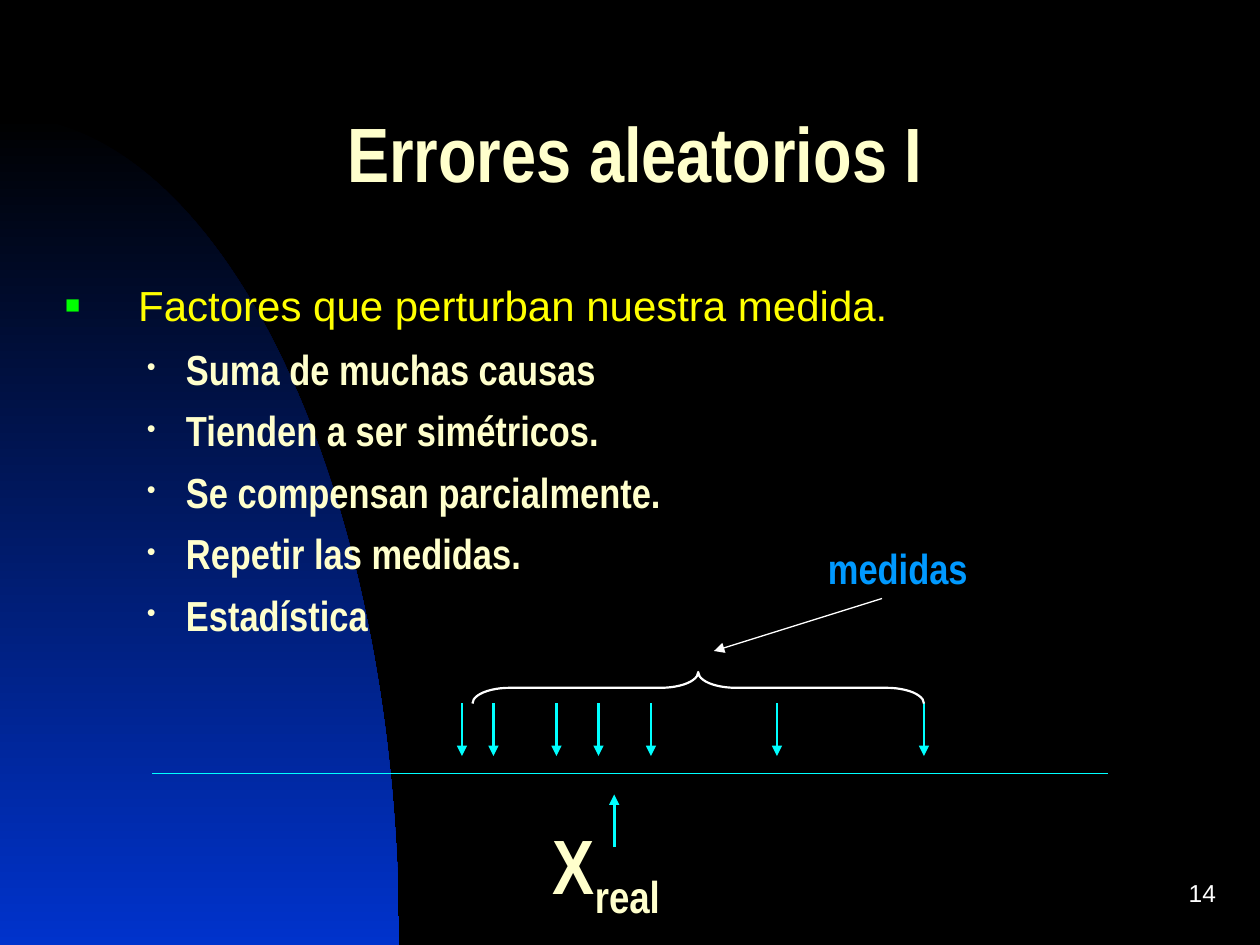
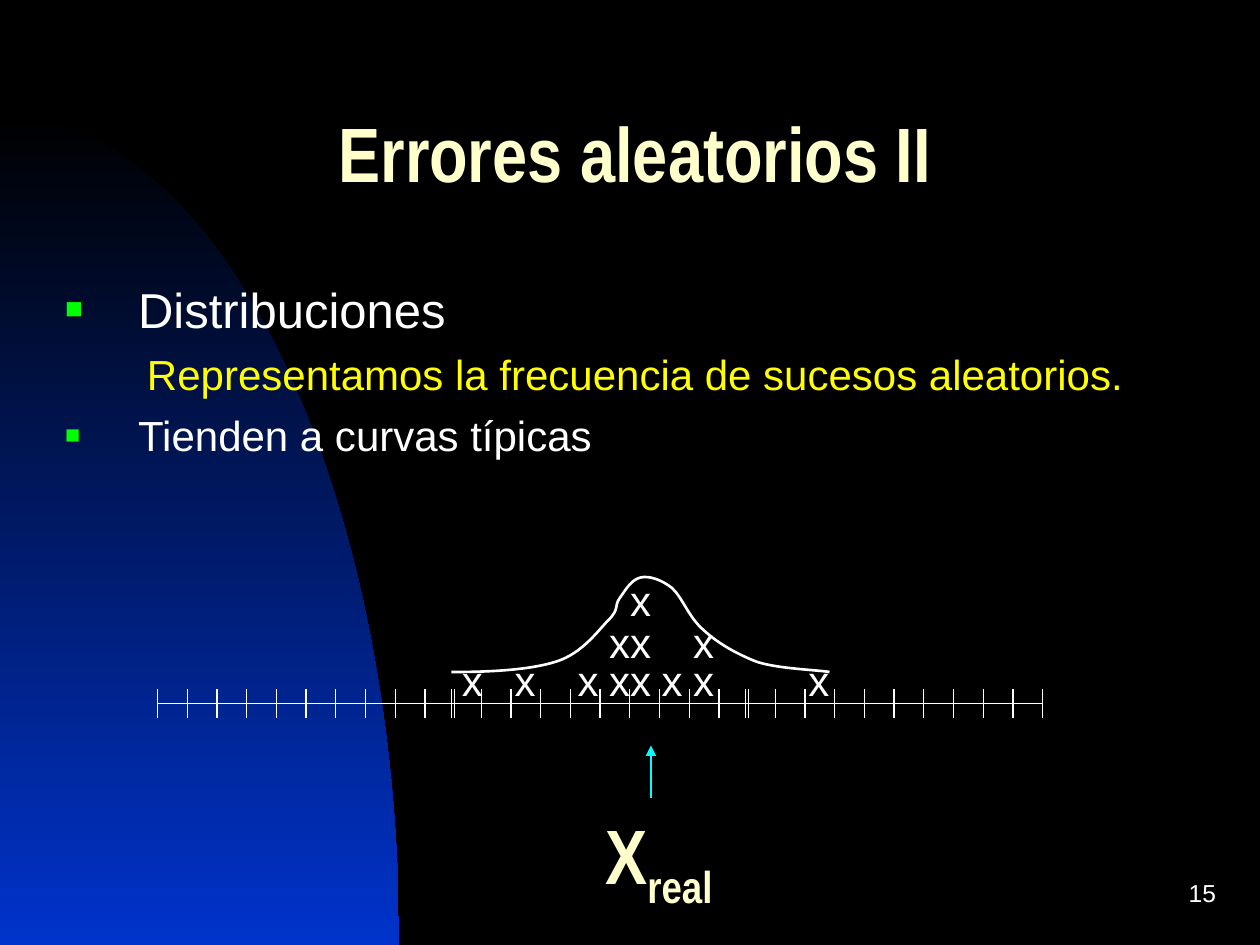
from dataclasses import dataclass

import pptx
import pptx.dml.color
import pptx.enum.shapes
import pptx.enum.text
import pptx.oxml
import pptx.oxml.ns
import pptx.util
from lxml import etree

Pt, Inches = pptx.util.Pt, pptx.util.Inches
RGB = pptx.dml.color.RGBColor.from_string
ALIGN = pptx.enum.text.PP_ALIGN
ANCHOR = pptx.enum.text.MSO_ANCHOR
FIT = pptx.enum.text.MSO_AUTO_SIZE
SHAPE = pptx.enum.shapes.MSO_SHAPE
qn = pptx.oxml.ns.qn


@dataclass(frozen=True)
class Theme:
    black: str = "000000"
    blue: str = "0033CC"
    cream: str = "FFFFCC"
    white: str = "FFFFFF"
    yellow: str = "FFFF00"
    cyan: str = "00FFFF"
    sky: str = "0099FF"
    green: str = "00FF00"
    sans: str = "Arial"
    narrow: str = "Arial Narrow"
    big: int = 44
    lead: int = 28
    text: int = 24
    small: int = 14


T = Theme()
prs = pptx.Presentation()
prs.slide_width, prs.slide_height = Inches(10), Inches(7.5)
COL, ROW = prs.slide_width / 120, prs.slide_height / 90

# Text formats
heading = dict(name=T.narrow, size=Pt(T.big), bold=True, color=T.cream)
strong = dict(heading, size=Pt(T.text))
plain = dict(name=T.sans, size=Pt(T.text), bold=False, color=T.white)
lead = dict(plain, size=Pt(T.lead))
yellow = dict(plain, color=T.yellow)
tight = dict(line_spacing=0.7)
centred = dict(tight, alignment=ALIGN.CENTER)
square = dict(char="■", color=T.green)
dot = dict(char="•", color=T.cream)
flush = dict(margin_left=0, margin_right=0, margin_top=0, margin_bottom=0,
             auto_size=FIT.SHAPE_TO_FIT_TEXT)


def write(sp, box, lines, par=None, frame=None):
    """Place sp on the grid; a line is (text, font, bullet, left indent, hanging)."""
    sp.left, sp.top = round(box[0] * COL), round(box[1] * ROW)
    sp.width, sp.height = round(box[2] * COL), round(box[3] * ROW)
    tf = sp.text_frame
    for key, value in dict(dict(word_wrap=True, auto_size=FIT.NONE), **(frame or {})).items():
        setattr(tf, key, value)
    for i, (text, font, bullet, left, hanging) in enumerate(lines):
        p = tf.paragraphs[0] if i == 0 else tf.add_paragraph()
        for key, value in dict(dict(space_before=Pt(6)), **(par or {})).items():
            setattr(p, key, value)
        if i == 0:
            p.space_before = Pt(0)
        pPr = p._p.get_or_add_pPr()
        pPr.set("marL", str(Inches(left)))
        pPr.set("indent", str(-Inches(hanging)))
        if bullet:
            color = etree.SubElement(pPr, qn("a:buClr"))
            etree.SubElement(color, qn("a:srgbClr"), val=bullet["color"])
            etree.SubElement(pPr, qn("a:buSzPct"), val="60000")
            etree.SubElement(pPr, qn("a:buFont"), typeface=T.sans)
            etree.SubElement(pPr, qn("a:buChar"), char=bullet["char"])
        else:
            etree.SubElement(pPr, qn("a:buNone"))
        for n, part in enumerate(text.split("_")):  # "_" starts a subscript
            r = p.add_run()
            r.text = part
            for key, value in font.items():
                if key == "color":
                    r.font.color.rgb = RGB(value)
                else:
                    setattr(r.font, key, value)
            if n:
                r._r.get_or_add_rPr().set("baseline", "-25000")


def line(shapes, x1, y1, x2, y2, color, width=0.75, arrow=False):
    cx = shapes.add_connector(pptx.enum.shapes.MSO_CONNECTOR.STRAIGHT, round(x1 * COL),
                              round(y1 * ROW), round(x2 * COL), round(y2 * ROW))
    cx.line.color.rgb = RGB(color)
    cx.line.width = Pt(width)
    if arrow:
        etree.SubElement(cx.line._get_or_add_ln(), qn("a:tailEnd"), type="triangle")
    etree.SubElement(cx._element.spPr, qn("a:effectLst"))


# Shared slide parts: title, body list, slide number, real value with its arrow
pages = [
    dict(title="Errores aleatorios I", real=(47, 79), arrow=(58.5, 80.67, 75.67),
         body=[("Factores que perturban nuestra medida.", yellow, square, 0.58, 0.58)]),
    dict(title="Errores aleatorios II", real=(52, 78), arrow=(62, 76, 71),
         body=[("Distribuciones", lead, square, 0.58, 0.58),
               ("Representamos la frecuencia de sucesos aleatorios.", yellow, None, 0.65, 0),
               ("Tienden a curvas típicas", plain, square, 0.58, 0.58)]),
]
for number, page in enumerate(pages, start=14):
    s = prs.slides.add_slide(prs.slide_layouts[1])
    write(s.shapes.title, (5, 8, 111, 15), [(page["title"], heading, None, 0, 0)],
          centred, dict(vertical_anchor=ANCHOR.MIDDLE))
    write(s.placeholders[1], (5, 26, 112, 54), page["body"], dict(alignment=ALIGN.LEFT))
    write(s.shapes.add_textbox(0, 0, 0, 0), (92, 82, 25, 6),
          [(str(number), dict(plain, size=Pt(T.small)), None, 0, 0)],
          dict(alignment=ALIGN.RIGHT), dict(word_wrap=False, vertical_anchor=ANCHOR.MIDDLE))
    write(s.shapes.add_textbox(0, 0, 0, 0), (*page["real"], 21.5, 8.25),
          [("X_real", heading, None, 0, 0)], centred, dict(auto_size=FIT.SHAPE_TO_FIT_TEXT))
    x, tail, tip = page["arrow"]
    line(s.shapes, x, tail, x, tip, T.cyan, 1.5, True)
errors, spread = prs.slides

# Errores aleatorios I: properties of random errors
traits = ["Suma de muchas causas", "Tienden a ser simétricos.", "Se compensan parcialmente.",
          "Repetir las medidas.", "Estadística"]
write(errors.shapes.add_textbox(0, 0, 0, 0), (14, 34, 77, 26.75),
      [(trait, strong, dot, 0.31, 0.31) for trait in traits],
      dict(tight, space_before=Pt(15)), flush)

# Measurements on the axis, under a brace
write(errors.shapes.add_textbox(0, 0, 0, 0), (73, 53, 25, 3.33),
      [("medidas", dict(strong, color=T.sky), None, 0, 0)], centred, flush)
line(errors.shapes, 14.5, 73.67, 105.5, 73.67, T.cyan)
for x in (44, 47, 53, 57, 62, 74, 88):
    line(errors.shapes, x, 67, x, 72, T.cyan, 1.5, True)
brace = errors.shapes.add_shape(SHAPE.RIGHT_BRACE, round(65 * COL), round(44 * ROW),
                                round(3 * COL), round(43 * ROW))
brace.rotation = 270
brace.adjustments[0] = 1.19
brace.shadow.inherit = False
brace.fill.background()
brace.line.color.rgb = RGB(T.white)
brace.line.width = Pt(1.25)
line(errors.shapes, 84, 57, 68, 62, T.white, arrow=True)

# Errores aleatorios II: three ruler pieces of ten divisions
STEP = 2.83
for start in (15, 43, 71):
    ruler = spread.shapes.add_group_shape().shapes
    line(ruler, start, 67, start + 10 * STEP, 67, T.white)
    for i in range(11):
        line(ruler, start + i * STEP, 65.6, start + i * STEP, 68.4, T.white)

# Stacked marks, column: count
stacks = {44: 1, 49: 1, 55: 1, 58: 2, 60: 3, 63: 1, 66: 2, 77: 1}
for x, count in stacks.items():
    for y in (63.6, 60, 56)[:count]:
        write(spread.shapes.add_textbox(0, 0, 0, 0), (x, y, 2, 3.33),
              [("x", plain, None, 0, 0)], dict(tight, alignment=ALIGN.RIGHT),
              dict(flush, word_wrap=False))

# Curves: a start, then Bézier pieces (two controls and an end) or straight corners
band_outline = [(0, 11), ((21, 11), (38, 46.4), (38, 90)), ((0, 90),)]
bell_outline = [
    (43, 64),
    ((46.8, 64), (50.5, 63.8), (53, 63)), ((55.5, 62.2), (57, 60), (58, 59)),
    ((59, 58), (58.5, 57.7), (59, 57)), ((59.5, 56.3), (60.1, 55.2), (61, 55)),
    ((61.8, 54.8), (63, 55.2), (64, 56)), ((65, 56.9), (65.6, 58.8), (67, 60)),
    ((68.3, 61.2), (70, 62.2), (72, 63)), ((74, 63.7), (77.9, 63.8), (79, 64)),
]
curves = []
for (start, *pieces), closed in ((band_outline, True), (bell_outline, False)):
    fb = spread.shapes.build_freeform(round(start[0] * COL), round(start[1] * ROW))
    fb.add_line_segments([(x * COL, y * ROW) for *_, (x, y) in pieces], close=closed)
    curve = fb.convert_to_shape()
    curve.shadow.inherit = False
    for step, piece in zip(list(curve._element.iter(qn("a:lnTo"))), pieces):
        if len(piece) == 3:
            bezier = etree.Element(qn("a:cubicBezTo"))
            for x, y in piece:
                etree.SubElement(bezier, qn("a:pt"), x=str(round(x * COL) - curve.left),
                                 y=str(round(y * ROW) - curve.top))
            step.getparent().replace(step, bezier)
    curves.append(curve)
band, bell = curves

bell.fill.background()
bell.line.color.rgb = RGB(T.white)
bell.line.width = Pt(1.5)

# Master: black background and blue quarter ellipse
master = prs.slide_master
master.background.fill.solid()
master.background.fill.fore_color.rgb = RGB(T.black)
band.line.fill.background()
band.fill.gradient()
band.fill.gradient_angle = 270
for stop, color in zip(band.fill.gradient_stops, (T.black, T.blue)):
    stop.color.rgb = RGB(color)
master.shapes.element.insert(2, band._element)

prs.save("out.pptx")
